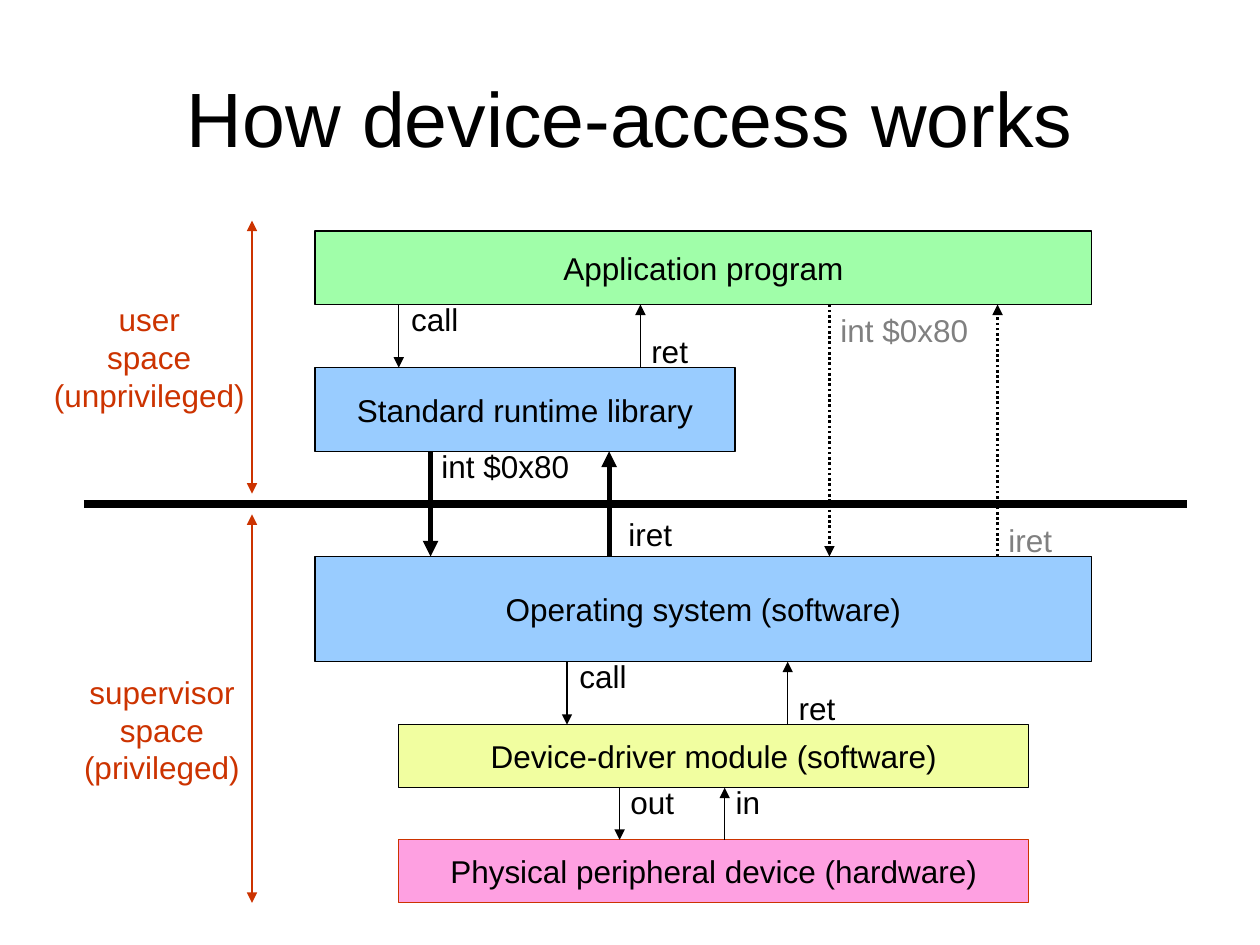
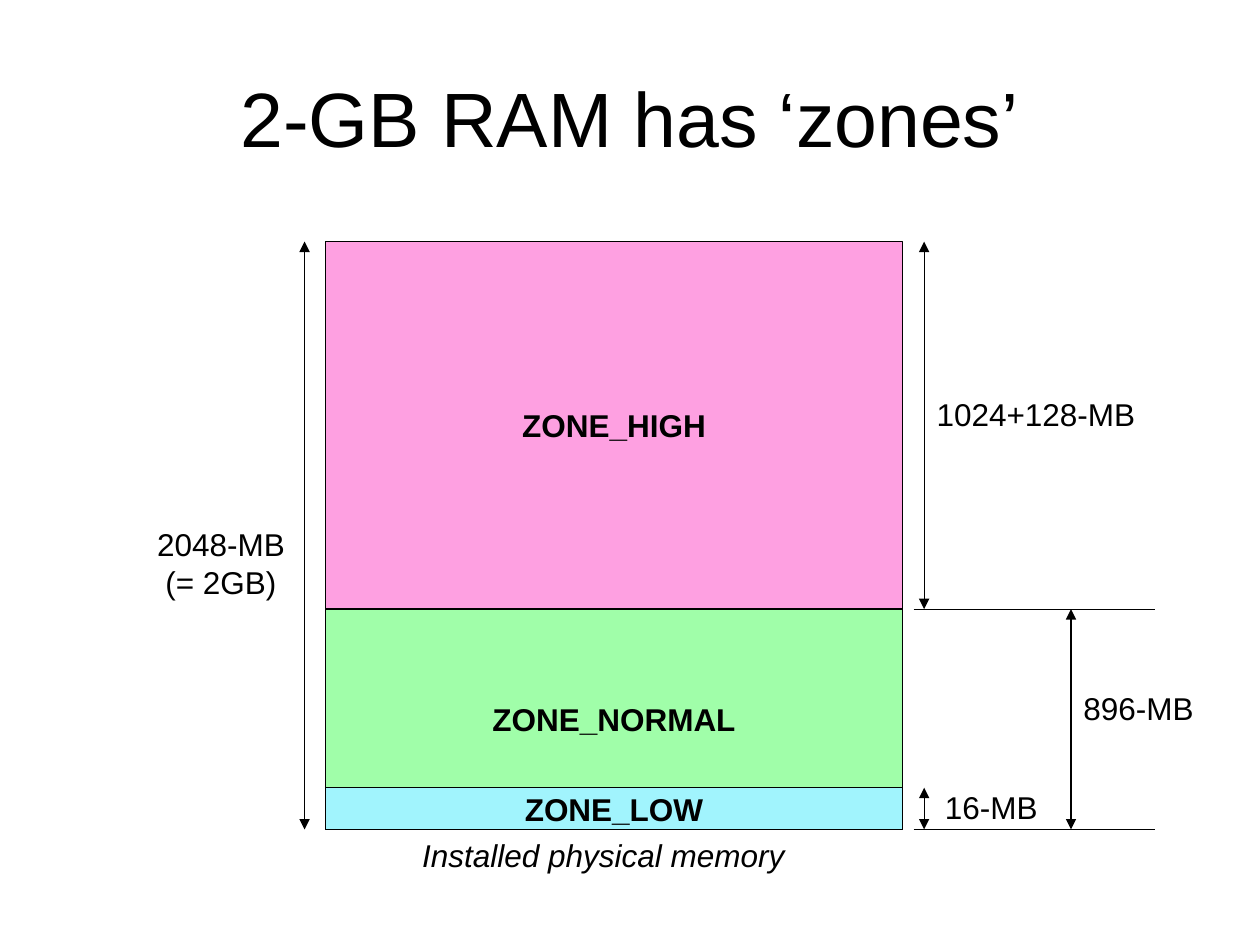
from lxml.etree import SubElement
from pptx import Presentation
from pptx.dml.color import RGBColor
from pptx.enum.dml import MSO_LINE
from pptx.enum.shapes import MSO_CONNECTOR, MSO_SHAPE
from pptx.enum.text import MSO_ANCHOR, MSO_AUTO_SIZE, PP_ALIGN
from pptx.oxml.ns import qn
from pptx.util import Cm, Pt

# Shared style
FONT = "Arial"
BLACK, GREY, RED = "000000", "808080", "CC3300"
GREEN, BLUE, YELLOW, PINK, CYAN = "A0FEA9", "99CCFF", "F1FEA0", "FEA0E1", "A1F4FD"
THIN, DOTTED, THICK, DIVIDER = 0.75, 1.5, 3, 4.5
FIRST_LINE, NEXT_LINE = 1.02, 0.76  # label height in cm

# Device access: name -> text, left, top, width, height, fill, outline
LAYERS = {
    "app": ("Application program", 6.35, 4.66, 15.66, 1.48, GREEN, BLACK),
    "lib": ("Standard runtime library", 6.35, 7.41, 8.47, 1.69, BLUE, BLACK),
    "os": ("Operating system (software)", 6.35, 11.22, 15.66, 2.12, BLUE, BLACK),
    "driver": ("Device-driver module (software)", 8.04, 14.61, 12.7, 1.27, YELLOW, BLACK),
    "device": ("Physical peripheral device (hardware)", 8.04, 16.93, 12.7, 1.27, PINK, RED),
}
# x, from layer, to layer, line width, label, label gap, label top, label width, label colour
CALLS = [
    (8.04, "app", "lib", THIN, "call", 0, 5.93, 1.45, BLACK),
    (12.91, "lib", "app", THIN, "ret", -0.03, 6.56, 1.24, BLACK),
    (8.68, "lib", "os", THICK, "int $0x80", -0.03, 8.89, 3.07, BLACK),
    (12.28, "os", "lib", THICK, "iret", 0.14, 10.26, 1.37, BLACK),
    (16.72, "app", "os", DOTTED, "int $0x80", -0.03, 6.14, 3.07, GREY),
    (20.11, "os", "app", DOTTED, "iret", -0.03, 10.37, 1.37, GREY),
    (11.43, "os", "driver", THIN, "call", 0, 13.12, 1.45, BLACK),
    (15.88, "driver", "os", THIN, "ret", -0.03, 13.76, 1.24, BLACK),
    (12.49, "driver", "device", THIN, "out", -0.03, 15.66, 1.37, BLACK),
    (14.61, "device", "driver", THIN, "in", -0.03, 15.66, 0.99, BLACK),
]
# Lines of text, left, top, width, arrow top, arrow bottom
SPACES = [
    (["user", "space", "(unprivileged)"], 0.84, 5.93, 4.34, 4.45, 9.95),
    (["supervisor", "space", "(privileged)"], 1.45, 13.44, 3.63, 10.37, 18.2),
]
SPACE_X = 5.08

# Memory zones: levels from the top down, then name, top, bottom, fill
TOP, HIGH_END, LOW_START, BOTTOM = 4.87, 12.28, 15.88, 16.72
MEMORY_X, MEMORY_W = 6.56, 11.64
ZONES = [
    ("ZONE_NORMAL", HIGH_END, BOTTOM, GREEN),
    ("ZONE_HIGH", TOP, HIGH_END, PINK),
    ("ZONE_LOW", LOW_START, BOTTOM, CYAN),
]
# Arrow x, top, bottom, lines of text, label left, label top, label width
SIZES = [
    (6.14, TOP, BOTTOM, ["2048-MB", "(= 2GB)"], 2.92, 10.46, 3.07),
    (18.63, TOP, HIGH_END, ["1024+128-MB"], 18.63, 7.83, 4.52),
    (18.63, LOW_START, BOTTOM, ["16-MB"], 18.8, 15.77, 2.36),
    (21.59, HIGH_END, BOTTOM, ["896-MB"], 21.59, 13.76, 2.72),
]
TICK_LEFT, TICK_RIGHT = 18.42, 23.28


def rgb(color):
    return RGBColor.from_string(color)


def style(p, size=18, color=BLACK, align=PP_ALIGN.CENTER, bold=False, italic=False):
    p.alignment = align
    p.font.name, p.font.size = FONT, Pt(size)
    p.font.bold, p.font.italic = bold, italic
    p.font.color.rgb = rgb(color)


def add_slide(prs, title):
    s = prs.slides.add_slide(prs.slide_layouts[5])
    sp = s.shapes.title
    sp.left, sp.top, sp.width, sp.height = Cm(1.27), Cm(0.76), Cm(22.86), Cm(3.18)
    tf = sp.text_frame
    tf.text = title
    tf.vertical_anchor = MSO_ANCHOR.MIDDLE
    style(tf.paragraphs[0], size=44)
    return s


def add_box(s, text, x, y, w, h, fill, outline=BLACK, bold=False):
    sp = s.shapes.add_shape(MSO_SHAPE.RECTANGLE, Cm(x), Cm(y), Cm(w), Cm(h))
    sp.shadow.inherit = False
    sp.fill.solid()
    sp.fill.fore_color.rgb = rgb(fill)
    sp.line.color.rgb = rgb(outline)
    sp.line.width = Pt(THIN)
    tf = sp.text_frame
    tf.text = text
    tf.word_wrap = False
    tf.vertical_anchor = MSO_ANCHOR.MIDDLE
    style(tf.paragraphs[0], bold=bold)


def add_label(s, lines, x, y, w, **font):
    h = FIRST_LINE + NEXT_LINE * (len(lines) - 1)
    tf = s.shapes.add_textbox(Cm(x), Cm(y), Cm(w), Cm(h)).text_frame
    tf.text = "\n".join(lines)
    tf.word_wrap = True
    tf.auto_size = MSO_AUTO_SIZE.SHAPE_TO_FIT_TEXT
    # Narrow insets keep each line unbroken
    tf.margin_right = 0
    align = PP_ALIGN.LEFT
    if len(lines) > 1:
        tf.margin_left = 0
        align = PP_ALIGN.CENTER
    for p in tf.paragraphs:
        style(p, align=align, **font)


def add_line(s, x1, y1, x2, y2, width=THIN, color=BLACK, ends=()):
    c = s.shapes.add_connector(MSO_CONNECTOR.STRAIGHT, Cm(x1), Cm(y1), Cm(x2), Cm(y2))
    c.line.color.rgb = rgb(color)
    c.line.width = Pt(width)
    if width == DOTTED:
        c.line.dash_style = MSO_LINE.ROUND_DOT
    spPr = c.element.spPr
    for end in ends:
        SubElement(spPr.find(qn("a:ln")), qn(f"a:{end}"), type="triangle")
    SubElement(spPr, qn("a:effectLst"))


def add_span(s, x, top, bottom, color=BLACK):
    add_line(s, x, top, x, bottom, color=color, ends=("headEnd", "tailEnd"))


def build_device_access(prs):
    s = add_slide(prs, "How device-access works")
    for layer in LAYERS.values():
        add_box(s, *layer)
    add_line(s, 1.69, 10.16, 23.92, 10.16, DIVIDER)

    # Privilege levels
    for lines, x, y, w, top, bottom in SPACES:
        add_span(s, SPACE_X, top, bottom, RED)
        add_label(s, lines, x, y, w, color=RED)

    # Calls go down, returns go up
    for x, source, target, width, text, gap, y, w, color in CALLS:
        _, _, y1, _, h1, *_ = LAYERS[source]
        _, _, y2, _, h2, *_ = LAYERS[target]
        start, end = (y1 + h1, y2) if y1 < y2 else (y1, y2 + h2)
        add_line(s, x, start, x, end, width, ends=("tailEnd",))
        add_label(s, [text], x + gap, y, w, color=color)


def build_memory_zones(prs):
    s = add_slide(prs, "2-GB RAM has ‘zones’")
    for name, top, bottom, fill in ZONES:
        add_box(s, name, MEMORY_X, top, MEMORY_W, bottom - top, fill, bold=True)

    # Sizes beside the memory block
    for x, top, bottom, *label in SIZES:
        add_span(s, x, top, bottom)
        add_label(s, *label)
    for y in (HIGH_END, BOTTOM):
        add_line(s, TICK_LEFT, y, TICK_RIGHT, y)
    add_label(s, ["Installed physical memory"], 8.26, BOTTOM, 7.8, italic=True)


def main():
    prs = Presentation()
    prs.slide_width, prs.slide_height = Cm(25.4), Cm(19.05)
    build_device_access(prs)
    build_memory_zones(prs)
    prs.save("out.pptx")


if __name__ == "__main__":
    main()
